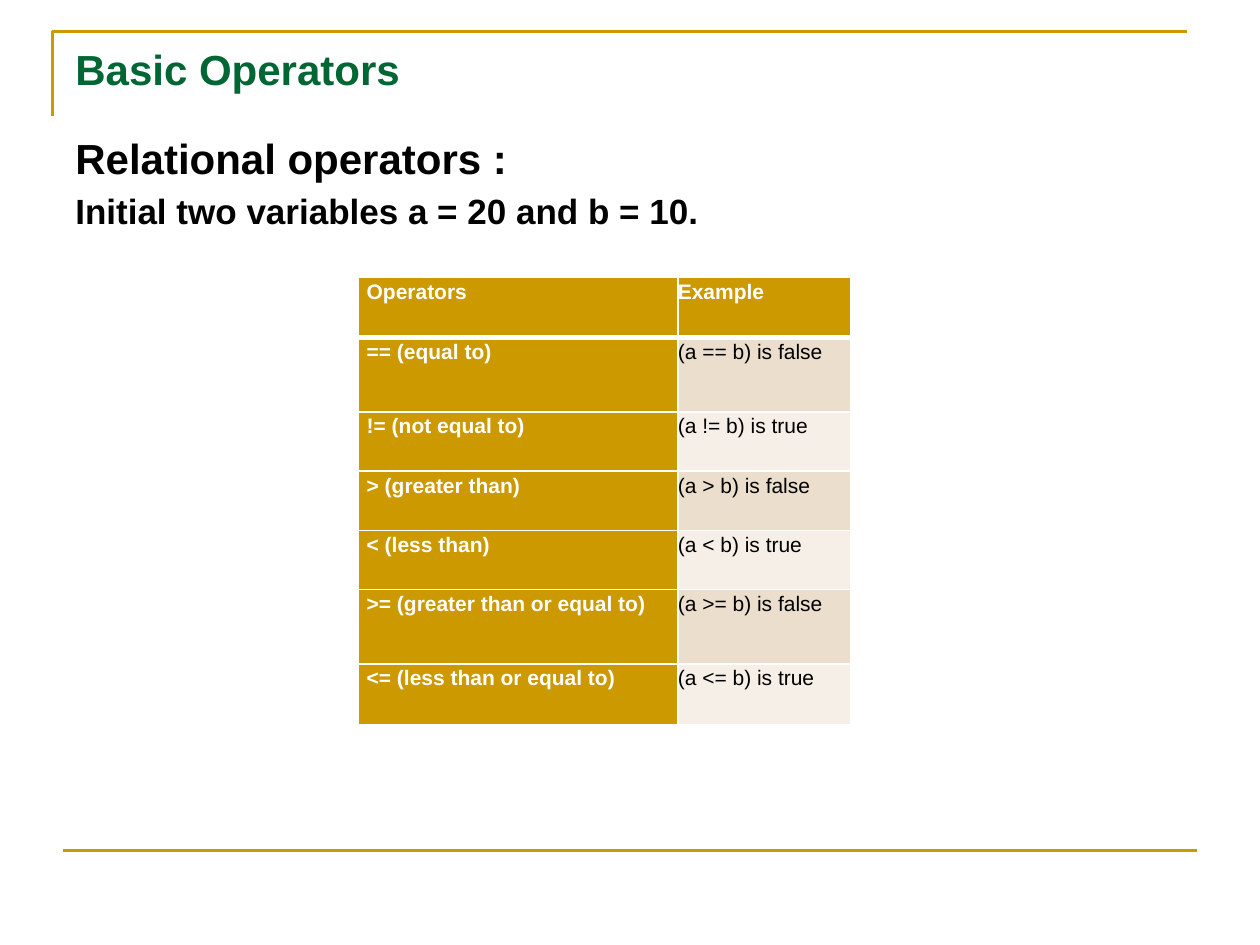
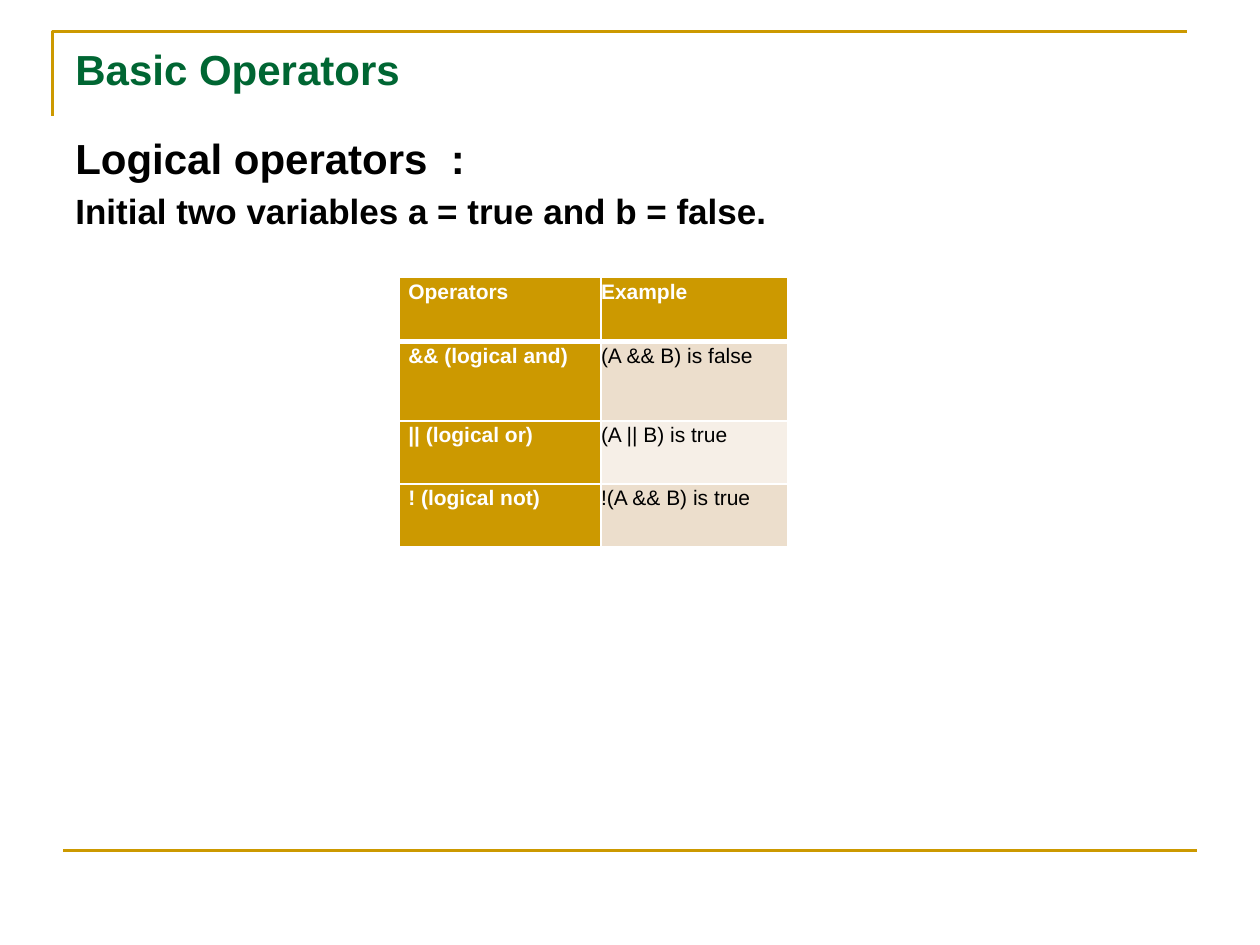
from lxml import etree
from pptx import Presentation
from pptx.dml.color import RGBColor
from pptx.enum.shapes import MSO_CONNECTOR
from pptx.enum.text import MSO_ANCHOR
from pptx.oxml.ns import qn
from pptx.util import Inches, Pt

STRAIGHT = MSO_CONNECTOR.STRAIGHT
TOP = MSO_ANCHOR.TOP
FONT = "Arial"
HEX = {"gold": "CC9900", "green": "006633", "black": "000000",
       "white": "FFFFFF", "tan": "ECDECC", "cream": "F6EFE7"}
RGB = {name: RGBColor.from_string(code) for name, code in HEX.items()}

pres = Presentation()
pres.slide_width, pres.slide_height = Inches(10), Inches(7.5)
W, H = pres.slide_width, pres.slide_height

# Frame and text positions as shares of the slide
LEFT, RIGHT = int(W / 24), int(W * 0.942)
HIGH, LOW = int(H / 30), int(H * 0.1225)
MARGIN, FOOT = int(W * 0.05), int(H * 0.9)

# Heading, premise, table left, column widths, row heights, right inset, rows
pages = [
    ("Relational operators :", "Initial two variables a = 20 and b = 10.",
     2.84, (2.54, 1.37), (0.48, 0.59, 0.47, 0.47, 0.47, 0.59, 0.48), 0.08,
     [("Operators", "Example"),
      ("== (equal to)", "(a == b) is false"),
      ("!= (not equal to)", "(a != b) is true"),
      ("> (greater than)", "(a > b) is false"),
      ("< (less than)", "(a < b) is true"),
      (">= (greater than or equal to)", "(a >= b) is false"),
      ("<= (less than or equal to)", "(a <= b) is true")]),
    ("Logical operators  :", "Initial two variables a = true and b = false.",
     3.17, (1.6, 1.48), (0.51, 0.63, 0.5, 0.5), 0.03,
     [("Operators", "Example"),
      ("&& (logical and)", "(A && B) is false"),
      ("|| (logical or)", "(A || B) is true"),
      ("! (logical not)", "!(A && B) is true")]),
]


def style(para, size, color, bold=True):
    for run in para.runs:
        run.font.name, run.font.size = FONT, Pt(size)
        run.font.bold, run.font.color.rgb = bold, RGB[color]


def rule(cell, side, width):
    edge = etree.Element(qn("a:" + side), w=str(Pt(width)))
    fill = etree.SubElement(edge, qn("a:solidFill"))
    etree.SubElement(fill, qn("a:srgbClr"), val=HEX["white"])
    return edge


for head, premise, left, cols, rows, inset, data in pages:
    slide = pres.slides.add_slide(pres.slide_layouts[6])

    # Corner bracket and foot line
    pen = slide.shapes.build_freeform(LEFT, LOW)
    pen.add_line_segments([(LEFT, HIGH), (RIGHT, HIGH)], close=False)
    corner = pen.convert_to_shape()
    corner.fill.background()
    corner.shadow.inherit = False
    foot = slide.shapes.add_connector(STRAIGHT, MARGIN, FOOT, W - MARGIN, FOOT)
    etree.SubElement(foot._element.spPr, qn("a:effectLst"))
    for line in (corner.line, foot.line):
        line.color.rgb, line.width = RGB["gold"], Pt(1.5)

    # Title and body text
    for top, tall, lines in (
            (0.04, 0.16, [("Basic Operators", 24, "green")]),
            (2 / 15, 23 / 30, [(head, 24, "black"), (premise, 20, "black")])):
        box = slide.shapes.add_textbox(MARGIN, int(H * top),
                                       int(W * 0.9), int(H * tall))
        frame = box.text_frame
        frame.word_wrap, frame.vertical_anchor = True, TOP
        frame.text = "\n".join(text for text, size, color in lines)
        for para, (text, size, color) in zip(frame.paragraphs, lines):
            para.space_before = Pt(size * 0.2)
            style(para, size, color)

    # Operator table
    table = slide.shapes.add_table(
        len(rows), len(cols), Inches(left), Inches(2.2),
        Inches(sum(cols)), Inches(sum(rows))).table
    for col, width in zip(table.columns, cols):
        col.width = Inches(width)
    for r, (row, height) in enumerate(zip(table.rows, rows)):
        row.height = Inches(height)
        for c, cell in enumerate(row.cells):
            strong = r == 0 or c == 0
            cell.margin_left = cell.margin_bottom = 0
            cell.margin_top, cell.margin_right = Inches(0.01), Inches(inset)
            cell.vertical_anchor = TOP
            cell.text = data[r][c]
            para = cell.text_frame.paragraphs[0]
            para.line_spacing = 1.07
            if c == 0:
                para._p.get_or_add_pPr().set("marL", str(Inches(0.07)))
            style(para, 12, "white" if strong else "black", strong)

            # White borders, thicker under the header, then the fill
            props = cell._tc.get_or_add_tcPr()
            for side in ("lnL", "lnR", "lnT", "lnB"):
                thick = (r, side) in ((0, "lnB"), (1, "lnT"))
                props.append(rule(cell, side, 3 if thick else 1))
            cell.fill.solid()
            band = "tan" if r % 2 else "cream"
            cell.fill.fore_color.rgb = RGB["gold" if strong else band]

pres.save("out.pptx")
